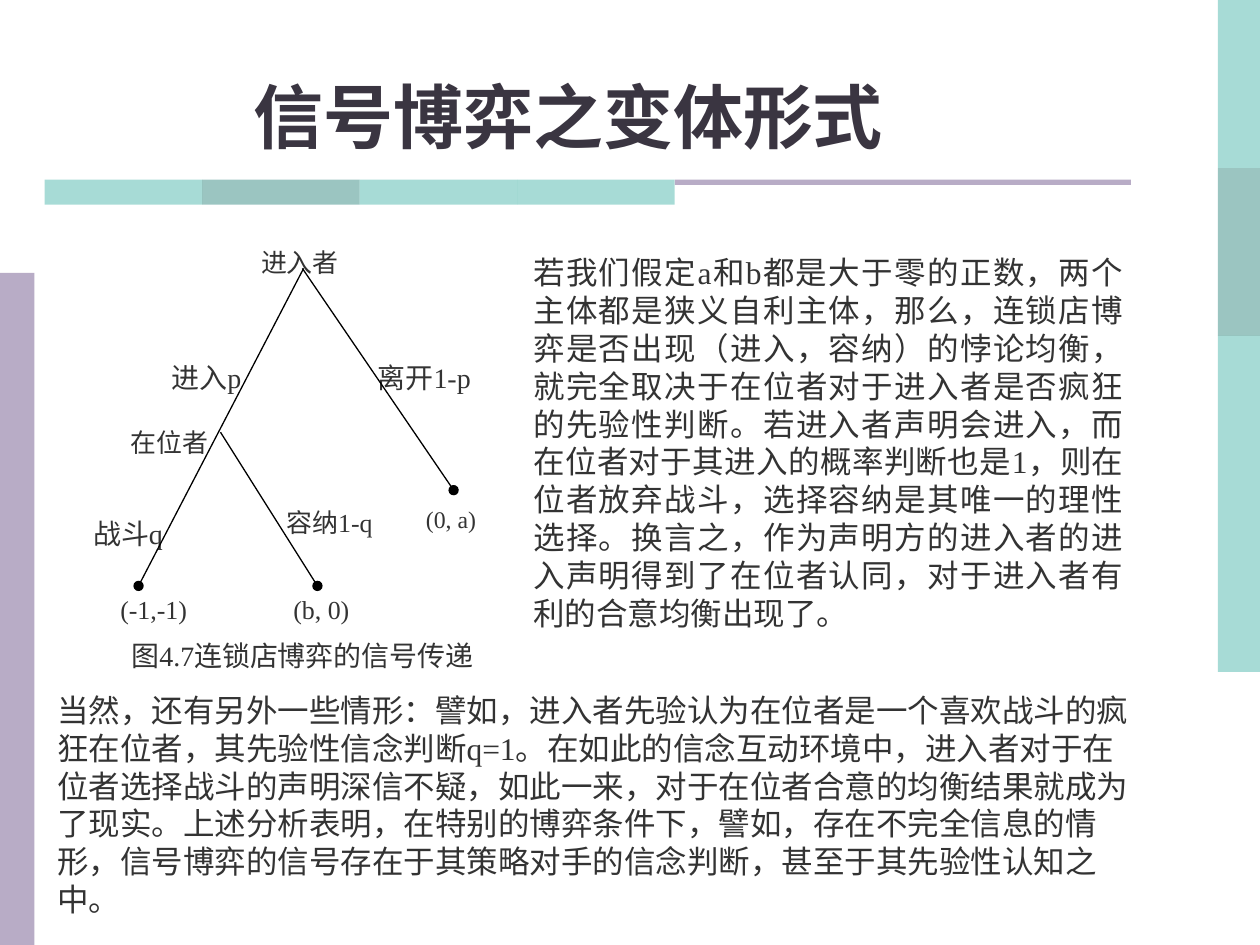
from dataclasses import dataclass

from lxml.etree import SubElement
from pptx import Presentation
from pptx.dml.color import RGBColor
from pptx.enum.shapes import MSO_CONNECTOR, MSO_SHAPE
from pptx.enum.text import MSO_ANCHOR, MSO_AUTO_SIZE, PP_ALIGN
from pptx.oxml.ns import qn
from pptx.util import Pt

INK = "333333"
TEAL = "51B9AF"
DARK_TEAL = "398D85"
LILAC = "B8ACC6"
SERIF = "Times New Roman"
BAND_COLORS = [TEAL, DARK_TEAL, TEAL, TEAL]


@dataclass
class Label:
    text: str
    left: float
    top: float
    width: float
    height: float
    size: float
    spacing: float
    alignment: PP_ALIGN = PP_ALIGN.CENTER


@dataclass
class Branch:
    start: tuple[float, float]
    end: tuple[float, float]


@dataclass
class TextBlock:
    runs: list[tuple[str, str]]
    left: float
    top: float
    width: float
    height: float
    size: float
    alignment: PP_ALIGN
    anchor: MSO_ANCHOR = MSO_ANCHOR.TOP


LABELS = [
    Label("战斗q", 48, 277.9, 50.4, 38.2, 16, 1.9),
    Label("容纳1-q", 160.2, 275.5, 56.2, 38.2, 14.8, 1.8),
    Label("(b, 0)", 160.6, 326.9, 46.1, 29.5, 14.8, 1.7),
    Label("离开1-p", 215.8, 190.8, 61.2, 33.1, 16, 1.8, PP_ALIGN.JUSTIFY),
    Label("(0, a)", 243.4, 275.5, 31.7, 30.2, 13.6, 1.8, PP_ALIGN.JUSTIFY),
    Label("在位者", 57.6, 231.1, 61.2, 30.2, 14.8, 1.7, PP_ALIGN.RIGHT),
    Label("(-1,-1)", 65.5, 326.9, 44.6, 28.8, 14.8, 1.7),
    Label("进入p", 71, 190.8, 67, 33.1, 16, 1.8, PP_ALIGN.RIGHT),
    Label("进入者", 137.5, 128.5, 67.7, 30.2, 14.8, 1.7),
]

BRANCHES = [
    Branch((173.5, 153.4), (79.2, 334.8)),
    Branch((172.8, 153.4), (259.2, 280.1)),
    Branch((126, 247), (181.4, 334.8)),
]

ASSUMPTION = TextBlock(
    [("若我们假定a和b都是大于零的正数，两个主体都是狭义自利主体，那么，连锁店博弈是否出现"
      "（进入，容纳）的悖论均衡，就完全取决于在位者对于进入者是否疯狂的先验性判断。"
      "若进入者声明会进入，而在位者对于其进入的概率判断也是1，则在位者放弃战斗，"
      "选择容纳是其唯一的理性选择。换言之，作为声明方的进入者的进入声明得到了在位者认同，"
      "对于进入者有利的合意均衡出现了。", SERIF)],
    297.6, 141.3, 351.4, 223.2, 18, PP_ALIGN.JUSTIFY)
CAPTION = TextBlock(
    [("图4.7", SERIF), ("连锁店博弈的信号传递", "TeX Gyre Bonum")],
    65.2, 351.2, 215.3, 46.1, 16, PP_ALIGN.CENTER, MSO_ANCHOR.MIDDLE)
CONCLUSION = TextBlock(
    [("当然，还有另外一些情形：譬如，进入者先验认为在位者是一个喜欢战斗的疯狂在位者，"
      "其先验性信念判断q=1。在如此的信念互动环境中，进入者对于在位者选择战斗的声明深信不疑，"
      "如此一来，对于在位者合意的均衡结果就成为了现实。上述分析表明，在特别的博弈条件下，"
      "譬如，存在不完全信息的情形，信号博弈的信号存在于其策略对手的信念判断，"
      "甚至于其先验性认知之中。", SERIF)],
    25.5, 391.3, 635, 115.2, 18, PP_ALIGN.LEFT)


def color(value: str) -> RGBColor:
    return RGBColor.from_string(value)


def apply(target, values: dict) -> None:
    for name, value in values.items():
        setattr(target, name, value)


def add_run(paragraph, text: str, size: float, font_name: str = SERIF,
            ink: str = INK, bold: bool = False) -> None:
    run = paragraph.add_run()
    run.text = text
    apply(run.font, {"name": font_name, "size": Pt(size), "bold": bold})
    run.font.color.rgb = color(ink)


def add_rectangle(slide, left: float, top: float, width: float, height: float,
                  fill: str, opacity: int = 100):
    shape = slide.shapes.add_shape(MSO_SHAPE.RECTANGLE, Pt(left), Pt(top), Pt(width), Pt(height))
    shape.shadow.inherit = False
    shape.fill.solid()
    shape.fill.fore_color.rgb = color(fill)
    shape.line.fill.background()
    if opacity < 100:
        fill_color = shape.fill._xPr.find(qn("a:solidFill")).find(qn("a:srgbClr"))
        SubElement(fill_color, qn("a:alpha"), val=str(opacity * 1000))
    return shape


def add_decoration(slide) -> None:
    for index, fill in enumerate(BAND_COLORS):
        add_rectangle(slide, 696, 96 * index, 24, 96, fill, 50)
        add_rectangle(slide, 25.5 + 90 * index, 102.7, 90, 14.2, fill, 50)
    add_rectangle(slide, 0, 156, 19.7, 384, LILAC)
    add_rectangle(slide, 385.6, 102.7, 260.6, 3, LILAC)


def add_title(slide, text: str) -> None:
    title = slide.shapes.title
    apply(title, {"left": Pt(0), "top": Pt(31.7), "width": Pt(649.4), "height": Pt(61.9)})
    apply(title.text_frame, {"auto_size": MSO_AUTO_SIZE.NONE, "word_wrap": True,
                             "vertical_anchor": MSO_ANCHOR.BOTTOM})
    paragraph = title.text_frame.paragraphs[0]
    paragraph.alignment = PP_ALIGN.CENTER
    add_run(paragraph, text, 40, ink="3A3541", bold=True)


def add_text_block(slide, block: TextBlock) -> None:
    box = slide.shapes.add_textbox(Pt(block.left), Pt(block.top), Pt(block.width), Pt(block.height))
    apply(box.text_frame, {"word_wrap": True, "vertical_anchor": block.anchor})
    paragraph = box.text_frame.paragraphs[0]
    paragraph.alignment = block.alignment
    paragraph._p.get_or_add_pPr().set("hangingPunct", "0")
    for text, font_name in block.runs:
        add_run(paragraph, text, block.size, font_name)


def add_label(slide, label: Label) -> None:
    shape = add_rectangle(slide, label.left, label.top, label.width, label.height, "FFFFFF")
    shape.line.color.rgb = color("FFFFFF")
    shape.line.width = Pt(0.75)
    apply(shape.text_frame, {"margin_left": 0, "margin_top": 0, "margin_right": 0,
                             "margin_bottom": 0, "word_wrap": True,
                             "vertical_anchor": MSO_ANCHOR.TOP})
    paragraph = shape.text_frame.paragraphs[0]
    apply(paragraph, {"alignment": label.alignment, "line_spacing": label.spacing})
    add_run(paragraph, label.text, label.size)


def add_branch(slide, branch: Branch) -> None:
    connector = slide.shapes.add_connector(
        MSO_CONNECTOR.STRAIGHT, *map(Pt, branch.start), *map(Pt, branch.end))
    connector.line.color.rgb = color("000000")
    connector.line.width = Pt(0.75)
    properties = connector._element.spPr
    SubElement(properties.find(qn("a:ln")), qn("a:tailEnd"), type="oval")
    SubElement(properties, qn("a:effectLst"))


def main() -> None:
    presentation = Presentation()
    apply(presentation, {"slide_width": Pt(720), "slide_height": Pt(540)})
    slide = presentation.slides.add_slide(presentation.slide_layouts[5])
    add_decoration(slide)
    add_title(slide, "信号博弈之变体形式")
    add_text_block(slide, ASSUMPTION)
    add_text_block(slide, CAPTION)
    for label in LABELS:
        add_label(slide, label)
    for branch in BRANCHES:
        add_branch(slide, branch)
    add_text_block(slide, CONCLUSION)
    presentation.save("out.pptx")


if __name__ == "__main__":
    main()
